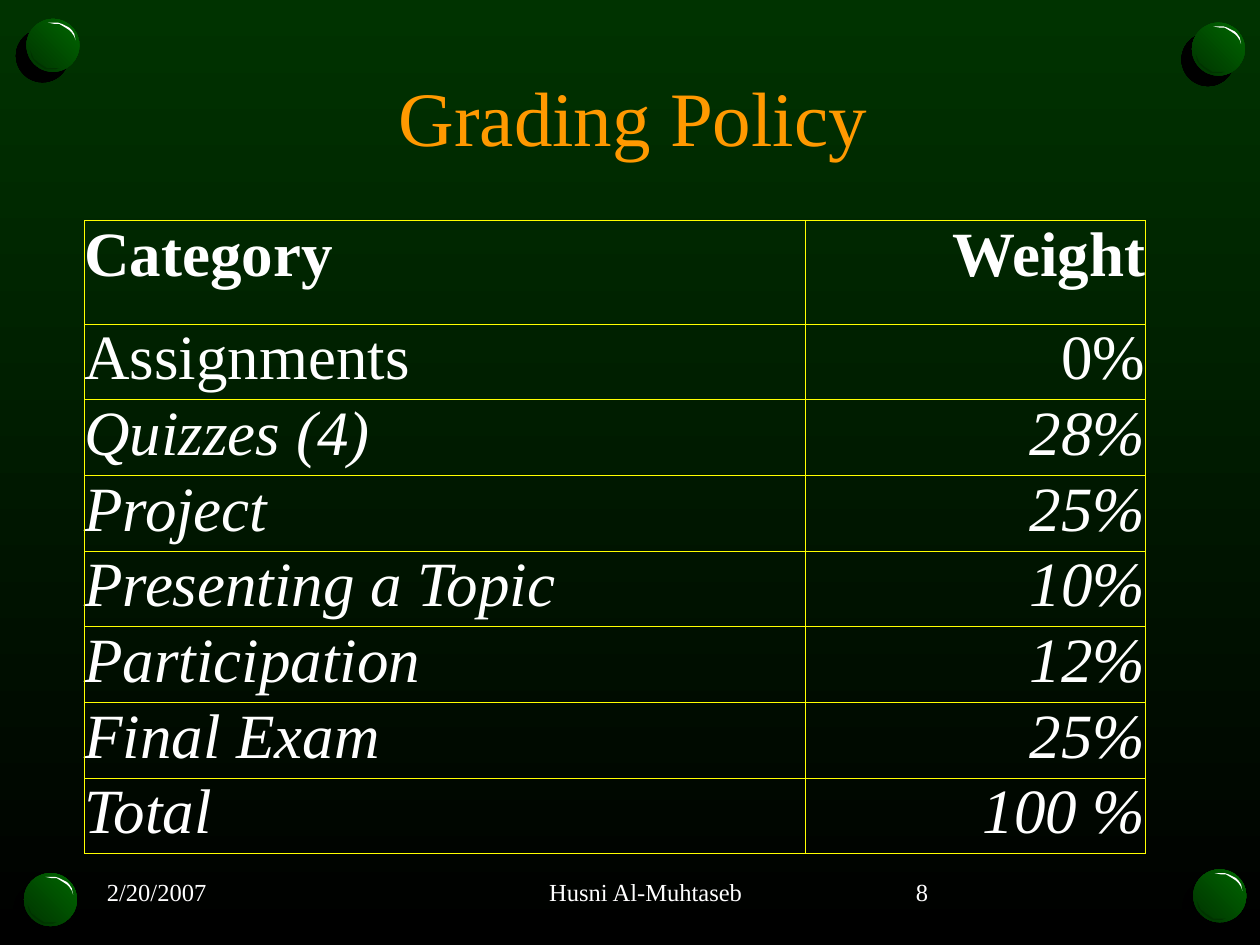
import pptx
import pptx.util
import pptx.dml.color
import pptx.enum.shapes
import pptx.enum.text
import pptx.oxml
import pptx.oxml.ns

Inches = pptx.util.Inches
RGBColor = pptx.dml.color.RGBColor
ALIGN = pptx.enum.text.PP_ALIGN
OVAL = pptx.enum.shapes.MSO_SHAPE.OVAL

DARK_GREEN = RGBColor(0x00, 0x33, 0x00)
GREEN = RGBColor(0x00, 0x66, 0x00)
BLACK = RGBColor(0x00, 0x00, 0x00)
WHITE = RGBColor(0xFF, 0xFF, 0xFF)
ORANGE = RGBColor(0xFF, 0x99, 0x00)
YELLOW = RGBColor(0xFF, 0xFF, 0x00)
FONT = "Times New Roman"

BALL_SIZE = 0.42
BALL_CORNERS = [(0.21, 0.15), (9.46, 0.18), (9.47, 6.9), (0.19, 6.93)]
GLINT = [(17, 3), (25, 3), (28, 4), (30, 5), (34, 7), (36, 9), (38, 12), (39, 17),
         (38, 14), (36, 11), (34, 9), (31, 7), (26, 4), (22, 4)]
SHADE = [(26, 39), (20, 39), (16, 39), (13, 37), (10, 35), (8, 33), (6, 32), (3, 25),
         (4, 30), (6, 33), (8, 35), (12, 38), (15, 40), (19, 40), (23, 40)]

GRADES = [
    ("Category", "Weight"),
    ("Assignments", "0%"),
    ("Quizzes (4)", "28%"),
    ("Project", "25%"),
    ("Presenting a Topic", "10%"),
    ("Participation", "12%"),
    ("Final Exam", "25%"),
    ("Total", "100 %"),
]


def write_text(frame, text, size=14, color=WHITE, align=ALIGN.LEFT, bold=False, italic=False):
    """Put one formatted paragraph into a text frame."""
    paragraph = frame.paragraphs[0]
    paragraph.alignment = align
    run = paragraph.add_run()
    run.text = text
    run.font.name = FONT
    run.font.size = pptx.util.Pt(size)
    run.font.color.rgb = color
    run.font.bold = bold
    run.font.italic = italic


def add_label(slide, box, text, **text_format):
    """Add a vertically centred text box."""
    frame = slide.shapes.add_textbox(*map(Inches, box)).text_frame
    frame.word_wrap = True
    frame.vertical_anchor = pptx.enum.text.MSO_ANCHOR.MIDDLE
    write_text(frame, text, **text_format)


def fill_gradient(fill, first, last, angle):
    """Apply a two-colour linear gradient, with the angle counter-clockwise."""
    fill.gradient()
    fill.gradient_angle = angle
    for stop, color in zip(fill.gradient_stops, (first, last)):
        stop.color.rgb = color


def fill_plain(shape, color):
    """Give a shape a solid fill without line or shadow."""
    shape.shadow.inherit = False
    shape.fill.solid()
    shape.fill.fore_color.rgb = color
    shape.line.fill.background()


def add_shadow(shape):
    """Cast a hard black shadow down and to the left."""
    shape.shadow.inherit = False
    effects = shape._element.spPr.find(pptx.oxml.ns.qn("a:effectLst"))
    effects.append(pptx.oxml.parse_xml(
        f'<a:outerShdw {pptx.oxml.ns.nsdecls("a")} dist="{pptx.util.Pt(8.5)}" dir="8100000" '
        f'algn="ctr" rotWithShape="0"><a:srgbClr val="{BLACK}"/></a:outerShdw>'))


def add_ball(slide, left, top):
    """Draw a corner ball with its glint and lower shade."""
    group = slide.shapes.add_group_shape()
    ball = group.shapes.add_shape(OVAL, *map(Inches, (left, top, BALL_SIZE, BALL_SIZE)))
    fill_gradient(ball.fill, DARK_GREEN, GREEN, 45)
    ball.line.fill.background()
    add_shadow(ball)
    for outline, color in ((GLINT, WHITE), (SHADE, DARK_GREEN)):
        builder = group.shapes.build_freeform(*outline[0], scale=Inches(0.01))
        builder.add_line_segments(outline[1:], close=True)
        fill_plain(builder.convert_to_shape(Inches(left), Inches(top)), color)


def add_backdrop(slide):
    """Paint the background and the corner balls."""
    fill_gradient(slide.background.fill, DARK_GREEN, BLACK, 270)
    dot = slide.shapes.add_shape(OVAL, *map(Inches, (9.74, 0.15, 0.06, 0.06)))
    fill_plain(dot, DARK_GREEN)
    for left, top in BALL_CORNERS:
        add_ball(slide, left, top)


def set_borders(cell):
    """Draw a thin yellow border on all four sides of a cell."""
    properties = cell._tc.get_or_add_tcPr()
    for side in ("lnL", "lnR", "lnT", "lnB"):
        properties.append(pptx.oxml.parse_xml(
            f'<a:{side} {pptx.oxml.ns.nsdecls("a")} w="{pptx.util.Pt(0.25)}"><a:solidFill>'
            f'<a:srgbClr val="{YELLOW}"/></a:solidFill></a:{side}>'))


def add_grades(slide, left, top, width, height):
    """Build the grading table with a taller header row."""
    weight_width, row_height = 2.7, 0.6
    table = slide.shapes.add_table(
        len(GRADES), 2, *map(Inches, (left, top, width, height))).table
    table.first_row = table.horz_banding = False
    table.columns[0].width = Inches(width - weight_width)
    table.columns[1].width = Inches(weight_width)
    for row in table.rows:
        row.height = Inches(row_height)
    table.rows[0].height = Inches(height - row_height * (len(GRADES) - 1))
    for row, grade in enumerate(GRADES):
        for column, (text, align) in enumerate(zip(grade, (ALIGN.LEFT, ALIGN.RIGHT))):
            cell = table.cell(row, column)
            cell.margin_left = cell.margin_right = cell.margin_top = cell.margin_bottom = 0
            set_borders(cell)
            cell.fill.background()
            write_text(cell.text_frame, text, size=36, align=align, bold=row == 0, italic=row > 1)


def add_footer(slide, top, height):
    """Place the date, the author and the slide number."""
    for left, width, text, align in (
        (0.75, 2.43, "2/20/2007", ALIGN.LEFT),
        (3.27, 3.71, "Husni Al-Muhtaseb", ALIGN.CENTER),
        (7.17, 2.19, "8", ALIGN.LEFT),
    ):
        add_label(slide, (left, top, width, height), text, align=align)


def main():
    """Build and save the grading policy slide."""
    deck = pptx.Presentation()
    deck.slide_width, deck.slide_height = Inches(10), Inches(7.5)
    slide = deck.slides.add_slide(deck.slide_layouts[6])
    add_backdrop(slide)
    add_footer(slide, 6.83, 0.5)
    add_label(slide, (0.21, 0.25, 9.63, 1.33), "Grading Policy",
              size=44, color=ORANGE, align=ALIGN.CENTER)
    add_grades(slide, 0.67, 1.75, 8.42, 5.02)
    deck.save("out.pptx")


if __name__ == "__main__":
    main()
